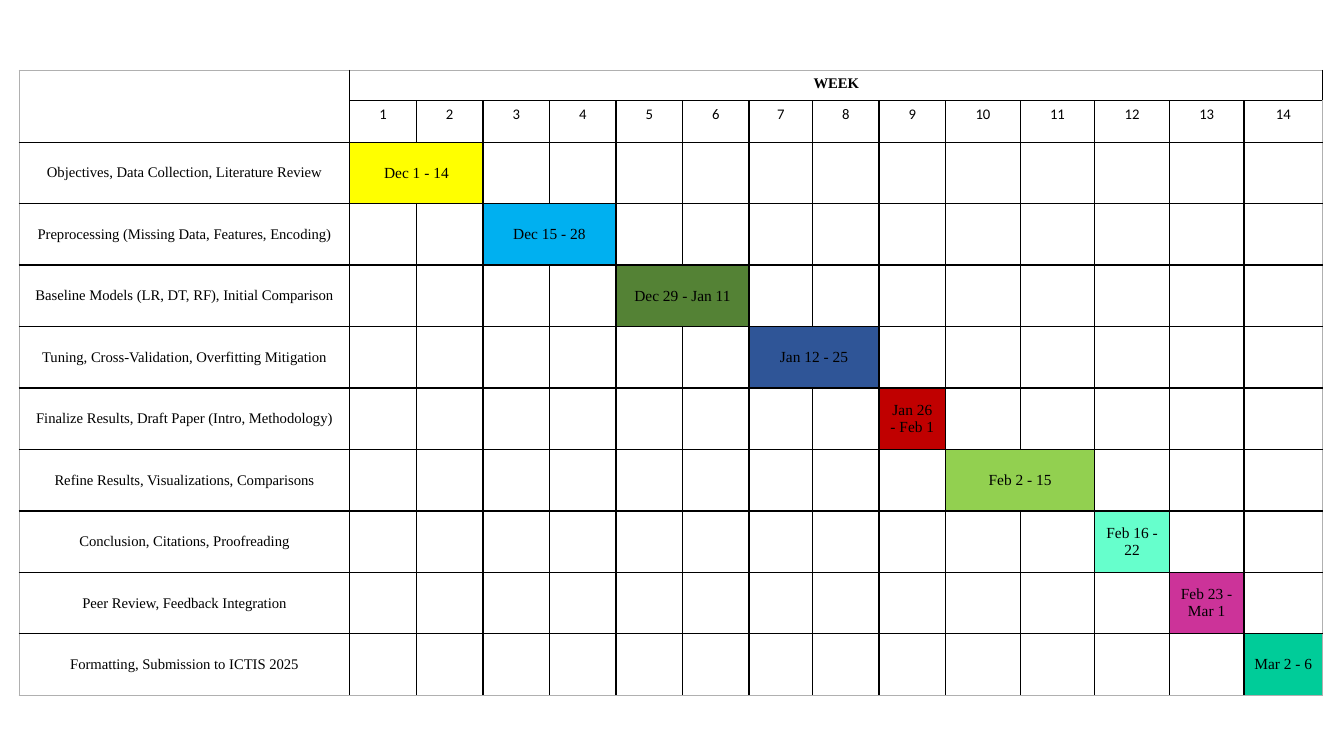
from dataclasses import dataclass

from lxml import etree
from pptx import Presentation
from pptx.dml.color import RGBColor
from pptx.enum import text
from pptx.oxml import ns
from pptx.table import Table, _Cell
from pptx.util import Inches, Pt

COLORS = {
    "ink": "000000", "frame": "B0B0B0", "yellow": "FFFF00", "sky": "00B0F0",
    "green": "548235", "blue": "2F5597", "red": "C00000", "lime": "92D050",
    "mint": "66FFCC", "magenta": "CC3399", "teal": "00CC99",
}
SERIF, SANS = "Times New Roman", "Calibri"
WEEK_WIDTHS = [0.66] * 6 + [0.63] + [0.66] * 2 + [0.74] * 4 + [0.78]
COLUMN_WIDTHS = [3.28] + WEEK_WIDTHS
HEADER_HEIGHTS = [0.3, 0.41]
TASK_HEIGHT = 0.61


@dataclass(frozen=True)
class Task:
    label: str
    dates: str
    first_week: int
    last_week: int
    color: str


TASKS = [
    Task("Objectives, Data Collection, Literature Review", "Dec 1 - 14", 1, 2, "yellow"),
    Task("Preprocessing (Missing Data, Features, Encoding)", "Dec 15 - 28", 3, 4, "sky"),
    Task("Baseline Models (LR, DT, RF), Initial Comparison", "Dec 29 - Jan 11", 5, 6, "green"),
    Task("Tuning, Cross-Validation, Overfitting Mitigation", "Jan 12 - 25", 7, 8, "blue"),
    Task("Finalize Results, Draft Paper (Intro, Methodology)", "Jan 26 - Feb 1", 9, 9, "red"),
    Task("Refine Results, Visualizations, Comparisons", "Feb 2 - 15", 10, 11, "lime"),
    Task("Conclusion, Citations, Proofreading", "Feb 16 - 22", 12, 12, "mint"),
    Task("Peer Review, Feedback Integration", "Feb 23 - Mar 1", 13, 13, "magenta"),
    Task("Formatting, Submission to ICTIS 2025", "Mar 2 - 6", 14, 14, "teal"),
]


def write(cell: _Cell, words: str, *, size: float = 10.5, font: str = SERIF,
          bold: bool = False, middle: bool = True) -> None:
    cell.vertical_anchor = text.MSO_ANCHOR.MIDDLE if middle else text.MSO_ANCHOR.TOP
    paragraph = cell.text_frame.paragraphs[0]
    paragraph.alignment = text.PP_ALIGN.CENTER
    run = paragraph.add_run()
    run.text = words
    run.font.size = Pt(size)
    run.font.name = font
    run.font.bold = bold
    run.font.color.rgb = RGBColor.from_string(COLORS["ink"])


def add_border(cell: _Cell, side: str, color: str) -> None:
    line = etree.SubElement(cell._tc.get_or_add_tcPr(), ns.qn(f"a:ln{side}"), w=str(Pt(1)))
    fill = etree.SubElement(line, ns.qn("a:solidFill"))
    etree.SubElement(fill, ns.qn("a:srgbClr"), val=COLORS[color])


def prepare_cells(grid: Table) -> None:
    """Give every cell its borders, side margins, no fill and a small empty line."""
    last_row, last_column = len(grid.rows) - 1, len(grid.columns) - 1
    for row in range(last_row + 1):
        for column in range(last_column + 1):
            cell = grid.cell(row, column)
            outer = {"L": column == 0, "R": column == last_column,
                     "T": row == 0, "B": row == last_row}
            for side, on_frame in outer.items():
                add_border(cell, side, "frame" if on_frame else "ink")
            cell.margin_left = cell.margin_right = Inches(0.09)
            cell.fill.background()
            paragraph = cell.text_frame.paragraphs[0]._p
            etree.SubElement(paragraph, ns.qn("a:endParaRPr"), sz="1050")


def add_header(grid: Table) -> None:
    grid.cell(0, 0).merge(grid.cell(1, 0))
    grid.cell(0, 1).merge(grid.cell(0, len(WEEK_WIDTHS)))
    write(grid.cell(0, 1), "WEEK", bold=True, middle=False)
    for week in range(1, len(WEEK_WIDTHS) + 1):
        write(grid.cell(1, week), str(week), font=SANS, middle=False)


def add_task(grid: Table, row: int, task: Task) -> None:
    write(grid.cell(row, 0), task.label)
    period = grid.cell(row, task.first_week)
    if task.last_week > task.first_week:
        period.merge(grid.cell(row, task.last_week))
    period.fill.solid()
    period.fill.fore_color.rgb = RGBColor.from_string(COLORS[task.color])
    write(period, task.dates, size=11)


def main() -> None:
    deck = Presentation()
    deck.slide_width, deck.slide_height = Inches(13.33), Inches(7.5)
    slide = deck.slides.add_slide(deck.slide_layouts[6])

    heights = HEADER_HEIGHTS + [TASK_HEIGHT] * len(TASKS)
    grid = slide.shapes.add_table(
        len(heights), len(COLUMN_WIDTHS), Inches(0.19), Inches(0.7),
        Inches(sum(COLUMN_WIDTHS)), Inches(sum(heights))).table
    grid.first_row = grid.horz_banding = False
    for column, width in zip(grid.columns, COLUMN_WIDTHS):
        column.width = Inches(width)
    for row, height in zip(grid.rows, heights):
        row.height = Inches(height)

    prepare_cells(grid)
    add_header(grid)
    for row, task in enumerate(TASKS, start=len(HEADER_HEIGHTS)):
        add_task(grid, row, task)
    deck.save("out.pptx")


if __name__ == "__main__":
    main()
